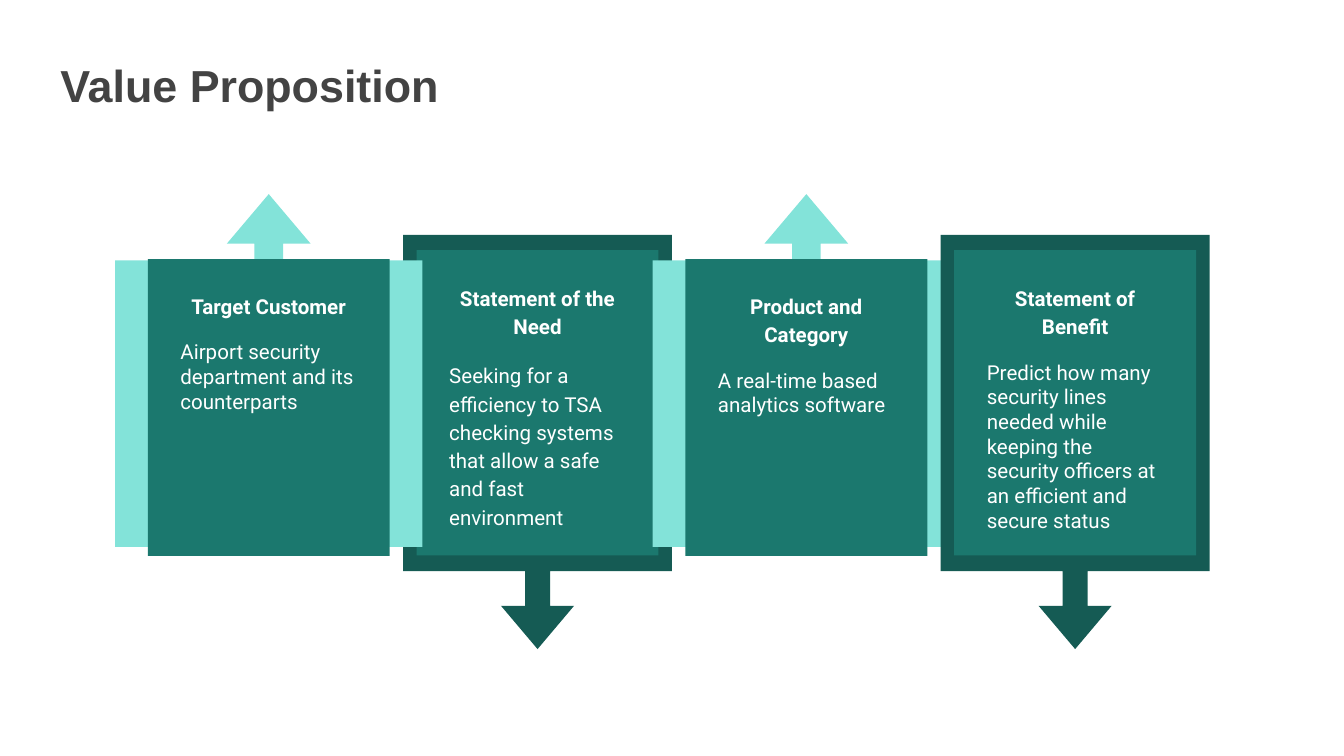
from pptx import Presentation
from pptx.dml.color import RGBColor
from pptx.enum.shapes import MSO_SHAPE
from pptx.enum.text import MSO_ANCHOR, PP_ALIGN
from pptx.util import Cm, Pt

UP = MSO_SHAPE.UP_ARROW_CALLOUT
DOWN = MSO_SHAPE.DOWN_ARROW_CALLOUT
PANEL = MSO_SHAPE.SNIP_1_RECTANGLE
LEFT, CENTER = PP_ALIGN.LEFT, PP_ALIGN.CENTER

TITLE = "Value Proposition"
# column, heading, statement, statement line spacing; listed from back to front
CARDS = [
    (1, "Statement of the Need",
     "Seeking for a efficiency to TSA checking systems that allow a safe and fast environment", 1.15),
    (2, "Product and Category", "A real-time based analytics software", 1.0),
    (3, "Statement of Benefit",
     "Predict how many security lines needed while keeping the security officers "
     "at an efficient and secure status", 1.0),
    (0, "Target Customer", "Airport security department and its counterparts", 1.0),
]
# (top, width, height) in cm of each layer; even columns point up, odd ones down
STYLES = [
    {"callout": UP, "color": "83E3D9", "frame": (3.67, 5.81, 6.67),
     "panel": (4.9, 4.57, 5.61), "text": (5.24, 3.84, 4.7)},
    {"callout": DOWN, "color": "155B54", "frame": (4.44, 5.08, 7.83),
     "panel": (4.73, 4.57, 5.77), "text": (5.09, 3.84, 4.9)},
]
ARROW = (0.093, 0.136, 0.161, 0.812)
PANEL_COLOR, WHITE, GREY = "1B786E", "FFFFFF", "434343"
FIRST_CENTER = PITCH = 5.08


def rgb(value):
    return RGBColor.from_string(value)


def centered(center, layer):
    top, width, height = layer
    return Cm(center - width / 2), Cm(top), Cm(width), Cm(height)


def add_block(kind, box, color, adjustments):
    block = slide.shapes.add_shape(kind, *box)
    block.shadow.inherit = False
    block.fill.solid()
    block.fill.fore_color.rgb = rgb(color)
    block.line.fill.background()
    for index, value in enumerate(adjustments):
        block.adjustments[index] = value


def set_frame(frame):
    frame.word_wrap = True
    frame.vertical_anchor = MSO_ANCHOR.TOP
    frame.margin_left = frame.margin_right = Cm(0.25)
    frame.margin_top = frame.margin_bottom = Cm(0.25)


def write(paragraph, text, font, size, color, bold, align=LEFT, spacing=1.0):
    paragraph.alignment = align
    paragraph.line_spacing = spacing
    run = paragraph.add_run()
    run.text = text
    run.font.name = font
    run.font.size = Pt(size)
    run.font.bold = bold
    run.font.color.rgb = rgb(color)


prs = Presentation()
prs.slide_width, prs.slide_height = Cm(25.4), Cm(14.29)
slide = prs.slides.add_slide(prs.slide_layouts[5])

title = slide.shapes.title
title.left, title.top, title.width, title.height = Cm(0.89), Cm(0.84), Cm(16.03), Cm(2.13)
set_frame(title.text_frame)
write(title.text_frame.paragraphs[0], TITLE, "Arial", 24, GREY, True)

for column, heading, statement, spacing in CARDS:
    style = STYLES[column % 2]
    center = FIRST_CENTER + column * PITCH
    add_block(style["callout"], centered(center, style["frame"]), style["color"], ARROW)
    add_block(PANEL, centered(center, style["panel"]), PANEL_COLOR, (0,))

    frame = slide.shapes.add_textbox(*centered(center, style["text"])).text_frame
    set_frame(frame)
    write(frame.paragraphs[0], heading, "Roboto", 11, WHITE, True, CENTER, 1.15)
    body = frame.add_paragraph()
    body.space_before = Pt(11)
    write(body, statement, "Roboto", 11, WHITE, False, LEFT, spacing)

prs.save("out.pptx")
